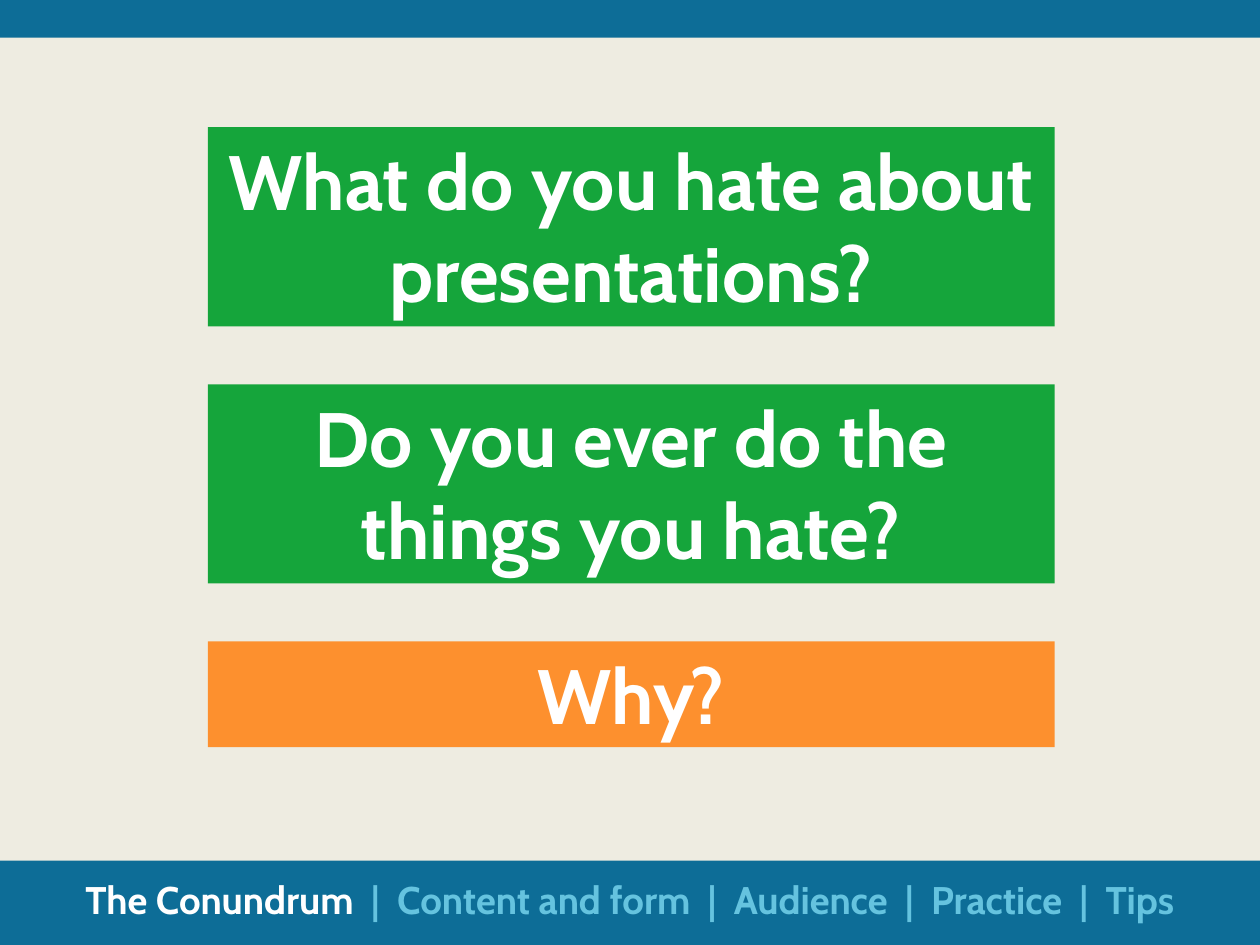
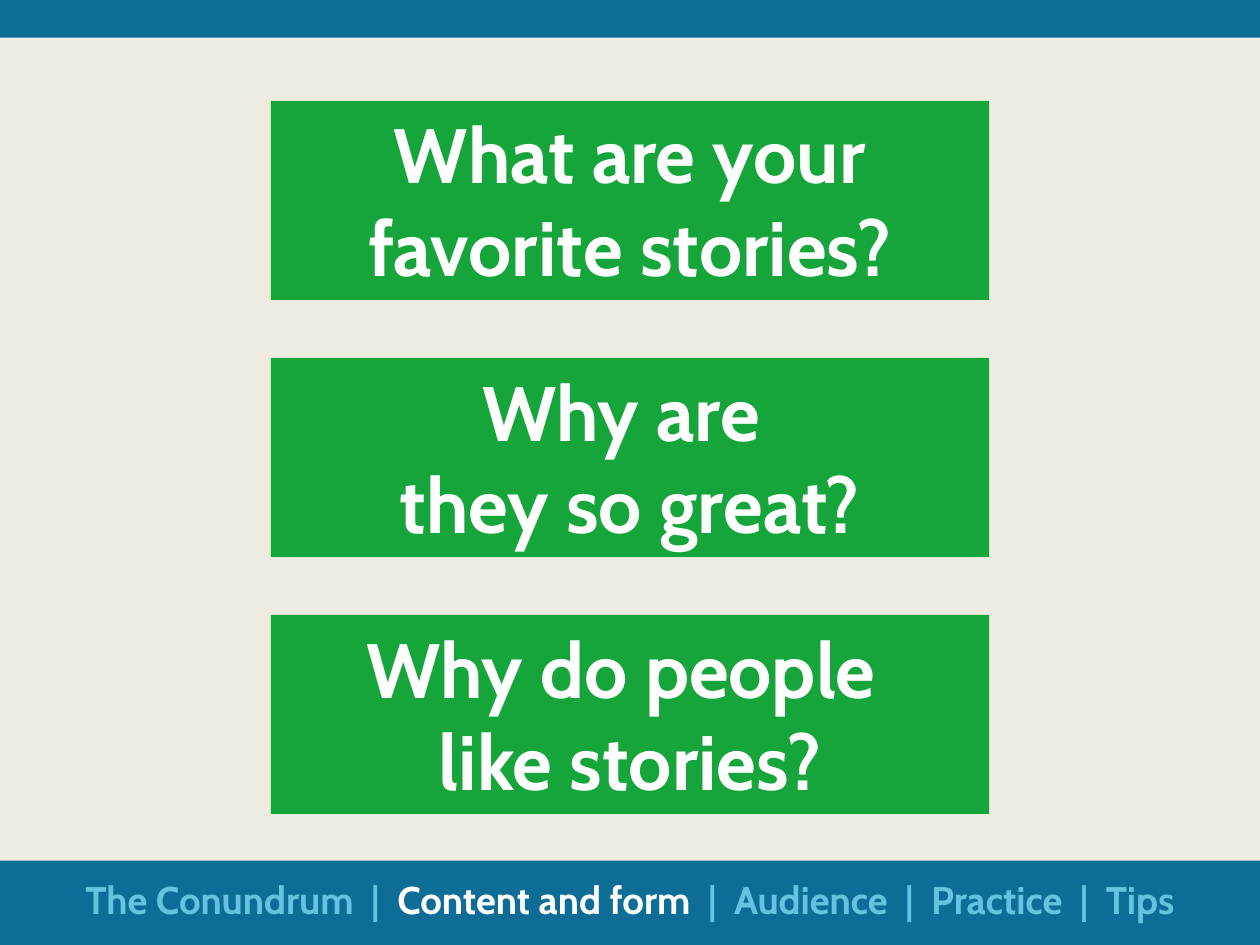
"""Build two question slides that share bands and a topic footer."""
from dataclasses import dataclass

from pptx import Presentation
from pptx.dml.color import RGBColor
from pptx.enum import shapes, text
from pptx.util import Inches, Pt

CREAM = RGBColor(0xEE, 0xEC, 0xE1)
BLUE = RGBColor(0x0D, 0x6D, 0x97)
SKY = RGBColor(0x65, 0xC3, 0xDF)
GREEN = RGBColor(0x15, 0xA5, 0x3B)
ORANGE = RGBColor(0xFD, 0x90, 0x2E)
WHITE = RGBColor(0xFF, 0xFF, 0xFF)

FONT = "Cabin"
WIDTH, HEIGHT = 10, 7.5
GAP = 0.46
TALL, SHORT = 1.58, 0.84
TOPICS = ("The Conundrum", "Content and form", "Audience", "Practice", "Tips")


@dataclass(frozen=True)
class Card:
    """A question on a coloured block."""

    words: str
    high: float = TALL
    fill: RGBColor = GREEN


@dataclass(frozen=True)
class Page:
    """A stack of cards under one topic."""

    topic: str
    left: float
    top: float
    wide: float
    cards: tuple[Card, ...]


PAGES = (
    Page("The Conundrum", 1.65, 1.01, 6.72, (
        Card("What do you hate about presentations?"),
        Card("Do you ever do the things you hate?"),
        Card("Why?", SHORT, ORANGE),
    )),
    Page("Content and form", 2.15, 0.8, 5.7, (
        Card("What are your favorite stories?"),
        Card("Why are \nthey so great?"),
        Card("Why do people \nlike stories?"),
    )),
)


def write(shape, words: str, *, size: float, color: RGBColor = WHITE) -> None:
    """Append formatted words to the centred first paragraph of a shape."""
    frame = shape.text_frame
    frame.word_wrap = True
    frame.auto_size = text.MSO_AUTO_SIZE.SHAPE_TO_FIT_TEXT
    frame.vertical_anchor = text.MSO_ANCHOR.TOP
    para = frame.paragraphs[0]
    para.alignment = text.PP_ALIGN.CENTER
    for row, line in enumerate(words.split("\n")):
        if row:
            para.add_line_break()
        run = para.add_run()
        run.text = line
        run.font.name = FONT
        run.font.size = Pt(size)
        run.font.bold = True
        run.font.color.rgb = color


def block(slide, left: float, top: float, wide: float, high: float, fill: RGBColor):
    """Draw a plain filled rectangle."""
    shape = slide.shapes.add_shape(
        shapes.MSO_SHAPE.RECTANGLE, Inches(left), Inches(top), Inches(wide), Inches(high))
    shape.shadow.inherit = False
    shape.fill.solid()
    shape.fill.fore_color.rgb = fill
    shape.line.fill.background()
    return shape


def frame(slide) -> None:
    """Paint the background and the two bands."""
    slide.background.fill.solid()
    slide.background.fill.fore_color.rgb = CREAM
    for top, high in ((6.83, 0.67), (0, 0.3)):
        block(slide, 0, top, WIDTH, high, BLUE)


def footer(slide, topic: str) -> None:
    """List the topics and light up the current one."""
    box = slide.shapes.add_textbox(Inches(0.5), Inches(6.9), Inches(9), Inches(0.47))
    for place, name in enumerate(TOPICS):
        if place:
            write(box, "  |  ", size=22, color=SKY)
        write(box, name, size=22, color=WHITE if name == topic else SKY)


def draw(deck, page: Page) -> None:
    """Add one slide with its stack of cards."""
    slide = deck.slides.add_slide(deck.slide_layouts[6])
    frame(slide)
    top = page.top
    for card in page.cards:
        shape = block(slide, page.left, top, page.wide, card.high, card.fill)
        write(shape, card.words, size=44)
        top += card.high + GAP
    footer(slide, page.topic)


def main() -> None:
    """Build and save the deck."""
    deck = Presentation()
    deck.slide_width, deck.slide_height = Inches(WIDTH), Inches(HEIGHT)
    for page in PAGES:
        draw(deck, page)
    deck.save("out.pptx")


if __name__ == "__main__":
    main()
